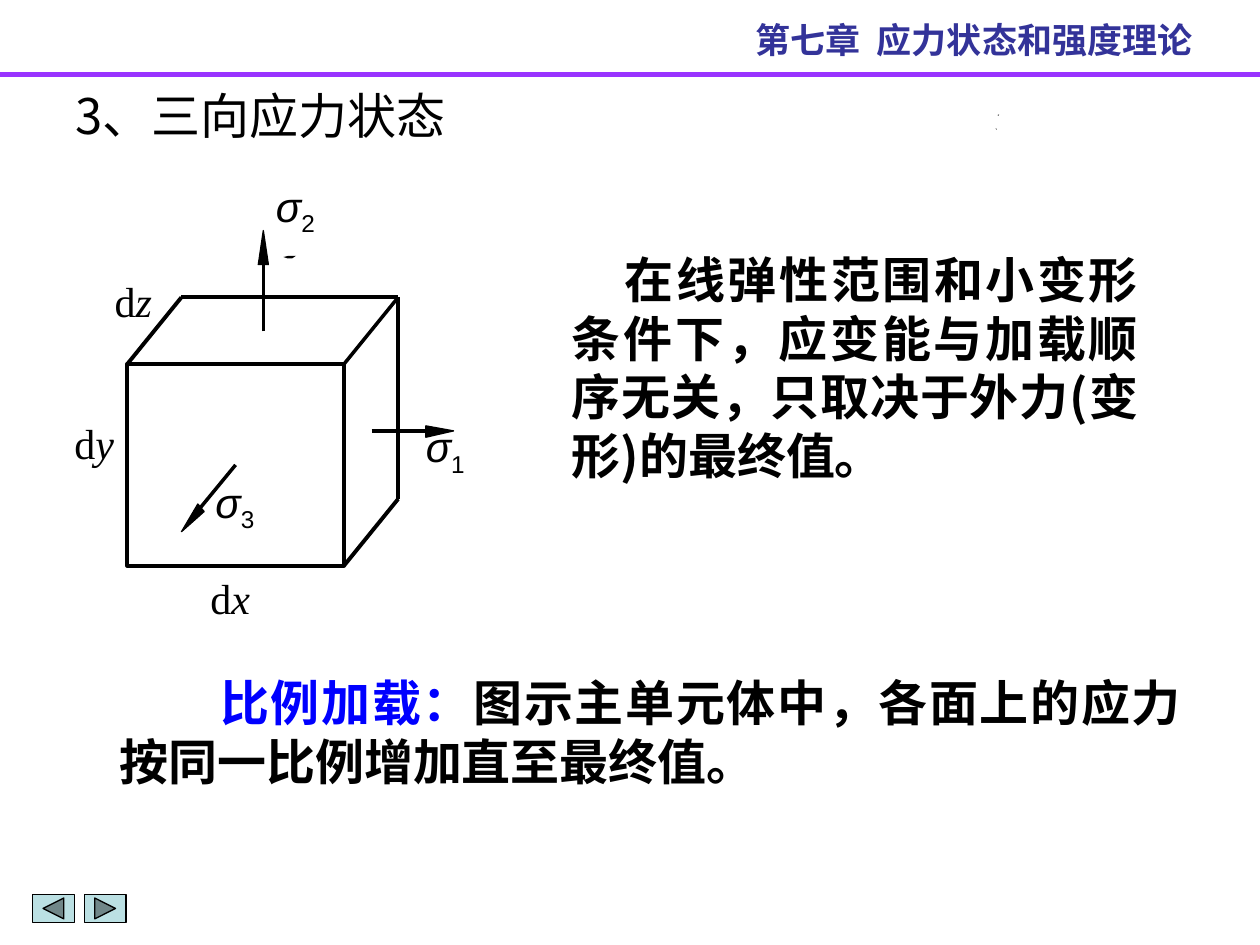
from lxml import etree
from pptx import Presentation
from pptx import util as u
from pptx.dml.color import RGBColor
from pptx.enum import shapes, text
from pptx.oxml.ns import qn

BLACK, NAVY, BLUE, PURPLE, TEAL = "000000", "333399", "0000FF", "9933FF", "BBE0E3"
SERIF, SANS, CJK = "Times New Roman", "Arial", "Noto Sans CJK SC"
THICK, HAIR = 2.25, 0


def rgb(value):
    return RGBColor.from_string(value)


class Page:
    def __init__(self, prs):
        self.s = prs.slides.add_slide(prs.slide_layouts[6])

    def style(self, sp, fill=None, line=None, width=HAIR):
        sp.shadow.inherit = False
        if fill:
            sp.fill.solid()
            sp.fill.fore_color.rgb = rgb(fill)
        else:
            sp.fill.background()
        if line:
            sp.line.color.rgb = rgb(line)
            sp.line.width = u.Pt(width)
        else:
            sp.line.fill.background()

    def line(self, start, end, width=HAIR, color=BLACK):
        points = [u.Inches(v) for v in (*start, *end)]
        sp = self.s.shapes.add_connector(shapes.MSO_CONNECTOR.STRAIGHT, *points)
        sp.line.color.rgb = rgb(color)
        sp.line.width = u.Pt(width)
        etree.SubElement(sp._element.spPr, qn("a:effectLst"))

    def shape(self, kind, box, **look):
        sp = self.s.shapes.add_shape(kind, *[u.Inches(v) for v in box])
        self.style(sp, **look)

    def polygon(self, points, **look):
        first, *rest = [(u.Inches(x), u.Inches(y)) for x, y in points]
        builder = self.s.shapes.build_freeform(*first)
        builder.add_line_segments(rest, close=True)
        self.style(builder.convert_to_shape(), **look)

    def text(self, box, runs, size, font, bold=False, indent=0, justify=False,
             margins=(0.1, 0.05)):
        """Each run is (wording, colour, italic, baseline)."""
        tf = self.s.shapes.add_textbox(*[u.Inches(v) for v in box]).text_frame
        tf.word_wrap = True
        tf.margin_left = tf.margin_right = u.Inches(margins[0])
        tf.margin_top = tf.margin_bottom = u.Inches(margins[1])
        p = tf.paragraphs[0]
        if justify:
            p.alignment = text.PP_ALIGN.JUSTIFY
        if indent:
            p._p.get_or_add_pPr().set("indent", str(u.Inches(indent)))
        for wording, color, italic, baseline in runs:
            r = p.add_run()
            r.text = wording
            r.font.size, r.font.name = u.Pt(size), font
            r.font.bold, r.font.italic = bold, italic
            r.font.color.rgb = rgb(color)
            rPr = r.font._element
            etree.SubElement(rPr, qn("a:ea")).set("typeface", CJK)
            if baseline:
                rPr.set("baseline", str(baseline * 1000))

    def label(self, x, y, runs, font):
        self.text((x, y, 0.48, 0.46), runs, 24, font, margins=(0, 0))


def plain(wording, color=BLACK):
    return wording, color, False, 0


def main():
    prs = Presentation()
    prs.slide_width, prs.slide_height = u.Inches(10), u.Inches(7.5)
    page = Page(prs)

    # Chapter header and section title
    page.line((0, 0.59), (10, 0.59), 3, PURPLE)
    page.text((5.9, 0.1, 3.99, 0.44), [plain("第七章  应力状态和强度理论", NAVY)],
              20, SERIF, bold=True)
    page.text((0.5, 0.63, 3.6, 0.57), [plain("3、三向应力状态")], 28, CJK)

    # Proportional loading
    page.text((0.85, 5.29, 8.62, 1.04),
              [plain("比例加载：", BLUE),
               plain("图示主单元体中，各面上的应力按同一比例增加直至最终值。")],
              28, SERIF, bold=True, indent=0.8, justify=True)

    # Stress element: front face, then the edges going back
    left, right, top, bottom = 1.01, 2.73, 2.89, 4.49
    dx, dy = 0.43, -0.53
    page.shape(shapes.MSO_SHAPE.RECTANGLE, (left, top, right - left, bottom - top),
               line=BLACK, width=THICK)
    back_left, back_top, back_bottom = [
        (x + dx, y + dy) for x, y in ((left, top), (right, top), (right, bottom))]
    for start, end, width in (((left, top), back_left, THICK),
                              (back_left, back_top, THICK),
                              (back_top, (right, top), HAIR),
                              (back_top, back_bottom, THICK),
                              (back_bottom, (right, bottom), THICK)):
        page.line(start, end, width)

    # Principal stress arrows: shaft and head
    for start, end, head in (
            ((2.09, 2.63), (2.09, 2.1), [(2.05, 2.1), (2.09, 1.83), (2.13, 2.1)]),
            ((2.95, 3.42), (3.38, 3.42), [(3.38, 3.38), (3.6, 3.42), (3.38, 3.47)]),
            ((1.87, 3.69), (1.59, 4.03), [(1.62, 4.06), (1.44, 4.22), (1.57, 4)])):
        page.line(start, end)
        page.polygon(head, fill=BLACK, line=BLACK)

    # Small marks
    for mark in ([(2.25, 2.04), (2.29, 2.03), (2.35, 2.03), (2.32, 2.05), (2.28, 2.05)],
                 [(7.92, 0.91), (7.93, 0.91), (7.92, 0.92)],
                 [(7.9, 1.02), (7.91, 1.02), (7.91, 1.03)]):
        page.polygon(mark, fill=BLACK)

    # Side lengths and stresses
    for x, y, axis in ((0.91, 2.19, "z"), (0.59, 3.31, "y"), (1.67, 4.54, "x")):
        page.label(x, y, [plain("d"), (axis, BLACK, True, 0)], SERIF)
    for x, y, number in ((2.19, 1.43, "2"), (3.38, 3.34, "1"), (1.71, 3.78, "3")):
        page.label(x, y, [("σ", BLACK, True, 0), (number, BLACK, False, -25)], SANS)

    # Navigation buttons
    for kind, x in ((shapes.MSO_SHAPE.ACTION_BUTTON_BACK_OR_PREVIOUS, 0.26),
                    (shapes.MSO_SHAPE.ACTION_BUTTON_FORWARD_OR_NEXT, 0.67)):
        page.shape(kind, (x, 7.1, 0.33, 0.22), fill=TEAL, line=BLACK, width=0.75)

    # Strain energy statement
    page.text((4.44, 1.93, 4.69, 1.97),
              [plain("在线弹性范围和小变形条件下，应变能与加载顺序无关，"
                     "只取决于外力(变形)的最终值。")],
              28, CJK, bold=True, indent=0.42, justify=True)

    prs.save("out.pptx")


if __name__ == "__main__":
    main()
